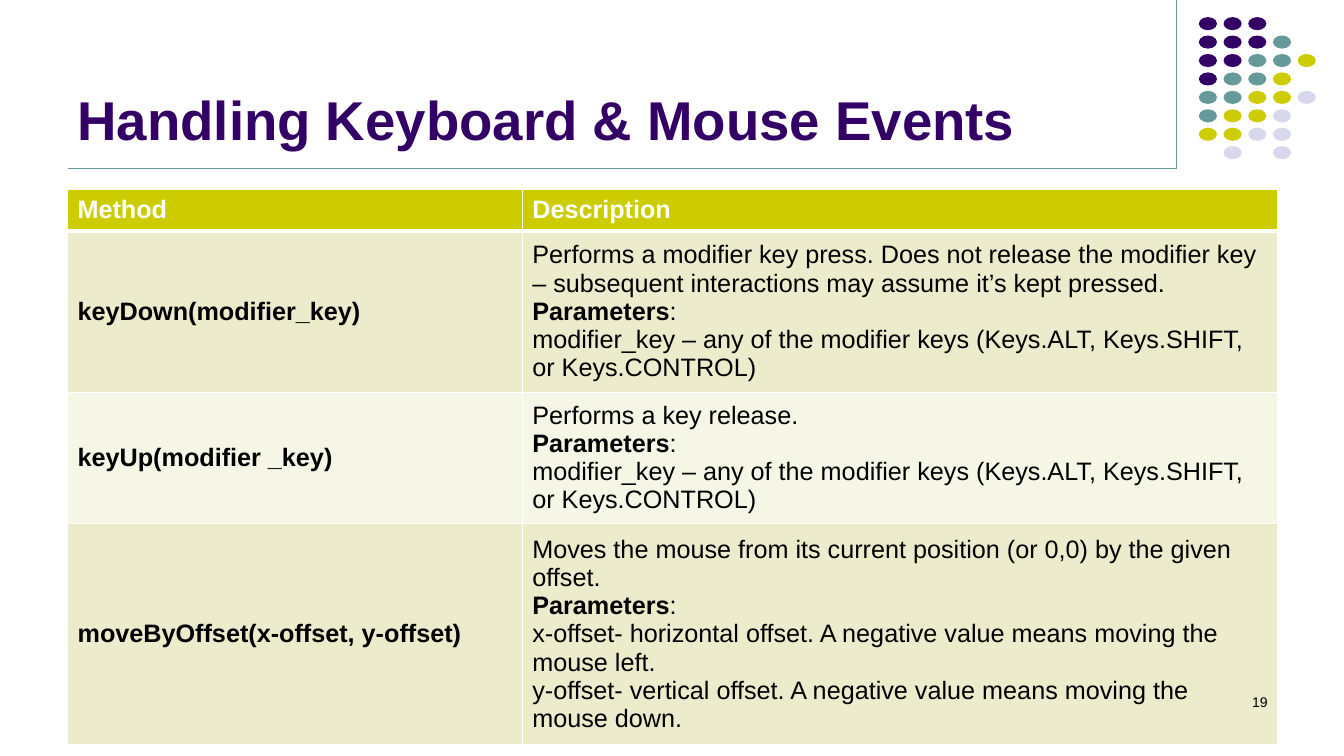
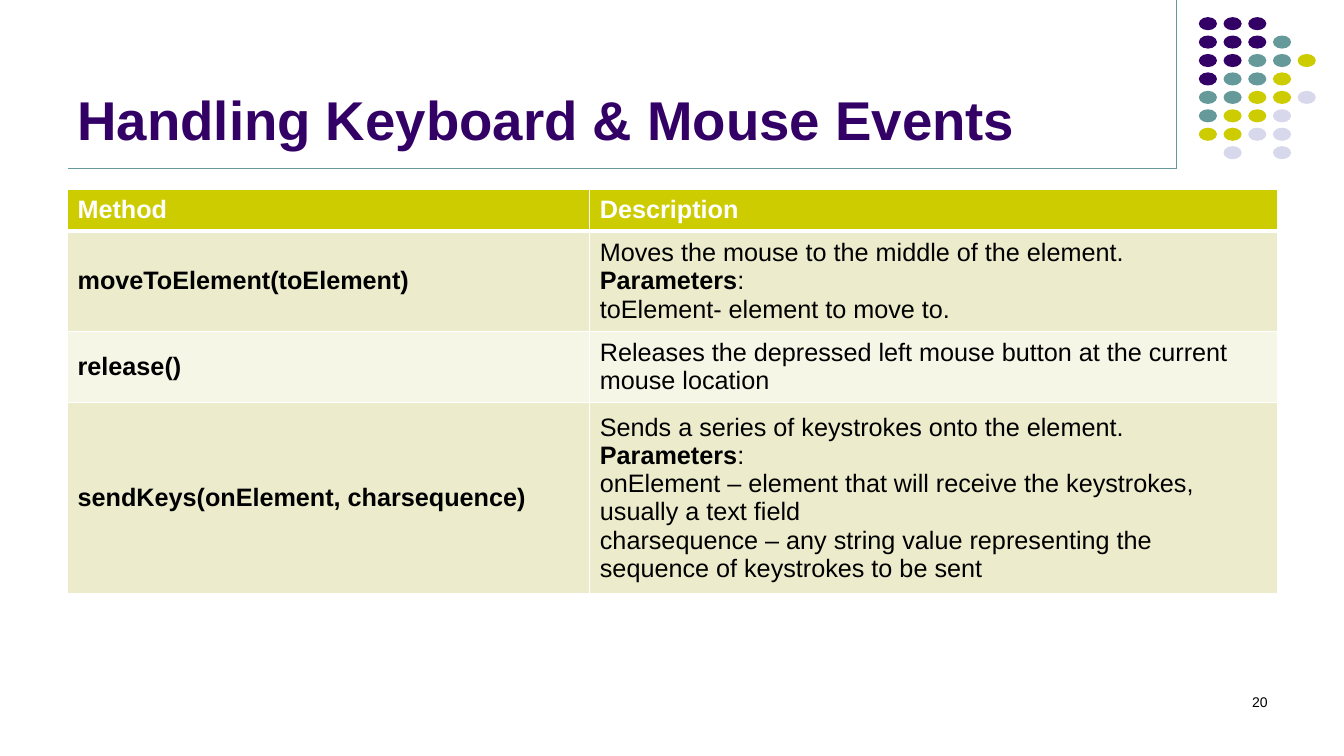
from pptx import Presentation
from pptx.dml.color import RGBColor as RGB
from pptx.enum.shapes import MSO_CONNECTOR as LINK, MSO_SHAPE as SHAPE
from pptx.enum.text import MSO_ANCHOR as ANCHOR, PP_ALIGN as ALIGN
from pptx.oxml.ns import qn
from pptx.util import Inches, Pt
from lxml.etree import SubElement as Sub

PURPLE = RGB(0x33, 0x00, 0x66)
TEAL = RGB(0x66, 0x99, 0x99)
LIME = RGB(0xCC, 0xCC, 0x00)
LILAC = RGB(0xD8, 0xD8, 0xEC)
SAND = RGB(0xEC, 0xEC, 0xCC)
CREAM = RGB(0xF6, 0xF6, 0xE7)
WHITE = RGB(0xFF, 0xFF, 0xFF)
BLACK = RGB(0x00, 0x00, 0x00)

FONT = "Arial"
LEFT = 0.67
RULE = 1.67
EDGE = 11.67
HUES = {"P": PURPLE, "T": TEAL, "Y": LIME, "L": LILAC}
DOTS = ["PPP", "PPPT", "PPTTY", "PTTY", "TTYYL", "TYYL", "YYLL", " L L"]

TITLE = "Handling Keyboard & Mouse Events"
HEAD = ("Method", ["Description"])
LABEL = "Parameters"
PARAM = LABEL + ":"
KEYS = "modifier_key – any of the modifier keys (Keys.ALT, Keys.SHIFT, or Keys.CONTROL)"

PAGES = [
    (19, 4.51, [
        ("keyDown(modifier_key)", [
            "Performs a modifier key press. Does not release the modifier key "
            "– subsequent interactions may assume it’s kept pressed.",
            PARAM, KEYS]),
        ("keyUp(modifier _key)", ["Performs a key release.", PARAM, KEYS]),
        ("moveByOffset(x-offset, y-offset)", [
            "Moves the mouse from its current position (or 0,0) by the given offset.",
            PARAM,
            "x-offset- horizontal offset. A negative value means moving the mouse left.",
            "y-offset- vertical offset. A negative value means moving the mouse down."]),
    ]),
    (20, 5.18, [
        ("moveToElement(toElement)", [
            "Moves the mouse to the middle of the element.",
            PARAM, "toElement- element to move to."]),
        ("release()", [
            "Releases the depressed left mouse button at the current mouse location"]),
        ("sendKeys(onElement, charsequence)", [
            "Sends a series of keystrokes onto the element.",
            PARAM,
            "onElement – element that will receive the keystrokes, usually a text field",
            "charsequence – any string value representing the sequence of "
            "keystrokes to be sent"]),
    ]),
]


class Deck:
    """Hold the deck style and the current slide."""

    def __init__(self):
        self.file = Presentation()
        self.file.slide_width = Inches(13.33)
        self.file.slide_height = Inches(7.5)

    def page(self, title, num):
        self.slide = self.file.slides.add_slide(self.file.slide_layouts[6])
        self.line(EDGE, 0, EDGE, RULE)
        self.dots()
        self.line(LEFT, RULE, EDGE, RULE)
        self.text(title, LEFT, 0.13, 11, 1.42, 39, PURPLE, True, anchor=ANCHOR.BOTTOM)
        return lambda: self.text(str(num), 9.56, 6.83, 3.11, 0.5, 10, BLACK,
                                 align=ALIGN.RIGHT)

    def style(self, para, size, color, bold=False):
        for run in para.runs:
            font = run.font
            font.name, font.size, font.bold = FONT, Pt(size), bold
            font.color.rgb = color

    def line(self, x1, y1, x2, y2):
        rule = self.slide.shapes.add_connector(
            LINK.STRAIGHT, Inches(x1), Inches(y1), Inches(x2), Inches(y2))
        rule.line.color.rgb = TEAL
        rule.line.width = Pt(0.75)
        Sub(rule._element.spPr, qn("a:effectLst"))

    def dots(self):
        group = self.slide.shapes.add_group_shape()
        for row, marks in enumerate(DOTS):
            for col, mark in enumerate(marks):
                if mark in HUES:
                    dot = group.shapes.add_shape(
                        SHAPE.OVAL, Inches(11.89 + 0.98 * col / 4),
                        Inches(0.17 + 1.28 * row / 7), Inches(0.18), Inches(0.13))
                    dot.shadow.inherit = False
                    dot.fill.solid()
                    dot.fill.fore_color.rgb = HUES[mark]
                    dot.line.fill.background()

    def text(self, words, x, y, w, h, size, color, bold=False,
             align=ALIGN.LEFT, anchor=ANCHOR.TOP):
        box = self.slide.shapes.add_textbox(Inches(x), Inches(y), Inches(w), Inches(h))
        frame = box.text_frame
        frame.word_wrap = True
        frame.vertical_anchor = anchor
        frame.text = words
        para = frame.paragraphs[0]
        para.alignment = align
        self.style(para, size, color, bold)

    def border(self, cell, row):
        props = cell._tc.get_or_add_tcPr()
        for side in "LRTB":
            thick = (row, side) in ((0, "B"), (1, "T"))
            edge = Sub(props, qn("a:ln" + side), w=str(Pt(3 if thick else 1)))
            fill = Sub(edge, qn("a:solidFill"))
            Sub(fill, qn("a:srgbClr"), val=str(WHITE))

    def cell(self, cell, row, lines, bold):
        self.border(cell, row)
        cell.fill.solid()
        cell.fill.fore_color.rgb = LIME if row == 0 else SAND if row % 2 else CREAM
        cell.vertical_anchor = ANCHOR.MIDDLE
        cell.text_frame.text = "\n".join(lines)
        for para in cell.text_frame.paragraphs:
            split = para.text == PARAM
            if split:
                para.text = LABEL
                para.add_run().text = ":"
            self.style(para, 18, BLACK if row else WHITE, bold)
            if split:
                para.runs[0].font.bold = True

    def table(self, width, rows):
        high = 0.41
        grid = self.slide.shapes.add_table(
            len(rows), 2, Inches(LEFT), Inches(1.88), Inches(12),
            Inches(high * len(rows))).table
        grid.columns[0].width = Inches(width)
        grid.columns[1].width = Inches(12 - width)
        for row, (name, about) in enumerate(rows):
            grid.rows[row].height = Inches(high)
            self.cell(grid.cell(row, 0), row, [name], True)
            self.cell(grid.cell(row, 1), row, about, row == 0)


def main():
    deck = Deck()
    for num, width, rows in PAGES:
        foot = deck.page(TITLE, num)
        deck.table(width, [HEAD] + rows)
        foot()
    deck.file.save("out.pptx")


if __name__ == "__main__":
    main()
